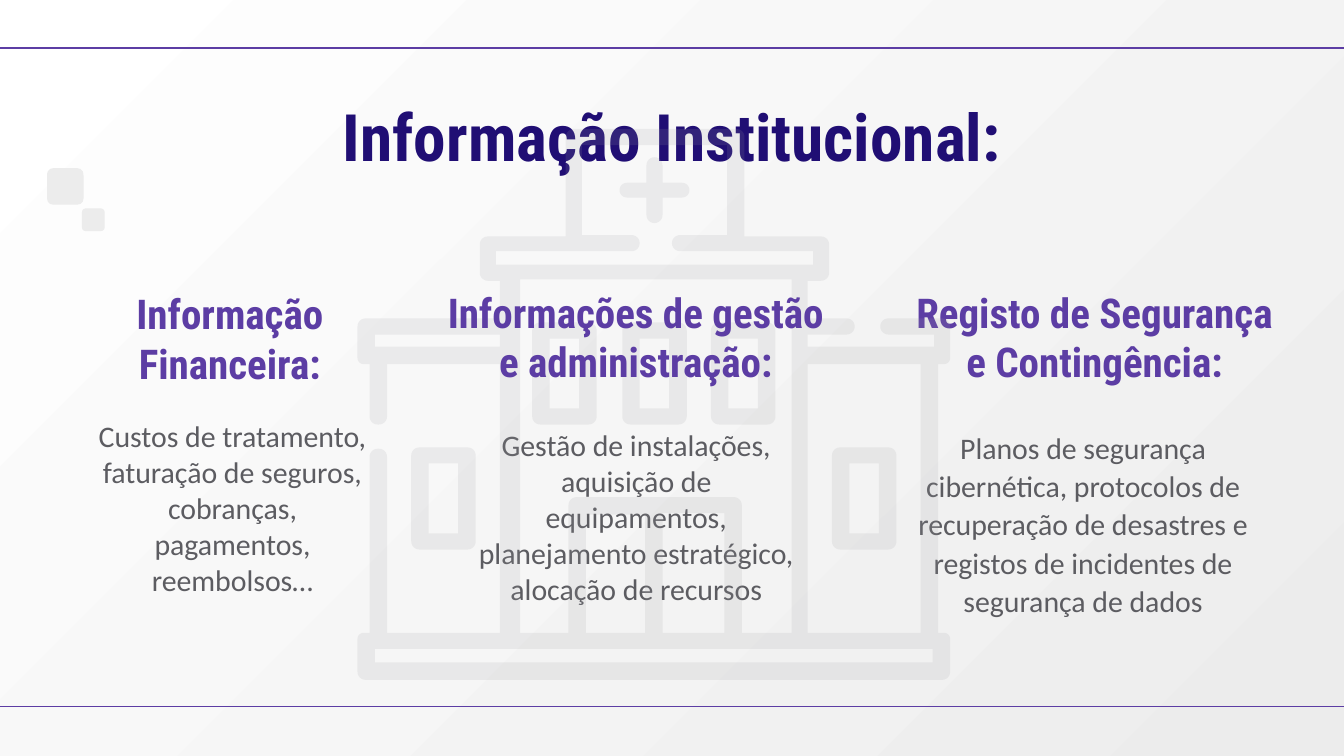
import math
from dataclasses import dataclass

import lxml.etree
import pptx
import pptx.dml.color
import pptx.enum.shapes
import pptx.enum.text
import pptx.oxml.ns
import pptx.util

Cm = pptx.util.Cm
Pt = pptx.util.Pt
qn = pptx.oxml.ns.qn
ANCHOR = pptx.enum.text.MSO_ANCHOR

WIDTH, HEIGHT = 25.4, 14.29


def rgb(value):
    return pptx.dml.color.RGBColor.from_string(value)


@dataclass(frozen=True)
class Theme:
    heading_font: str = "Roboto Condensed"
    body_font: str = "Calibri"
    navy: str = "200E74"
    purple: str = "5C3DA4"
    gray: str = "5C5C61"
    icon: str = "9C9CA1"
    icon_opacity: int = 15
    light: str = "FFFFFF"
    shade: str = "ECECEC"
    title_size: int = 35
    heading_size: int = 22
    body_size: int = 16


# Hospital drawing, in hundredths of an inch; a third value is a corner radius.
UNIT = 0.0254
R = 6
WINDOWS = [(396, 240), (463, 240), (529, 240), (306, 333), (619, 333)]
CROSS = [
    (481, 117, R), (493, 117, R), (493, 136), (513, 136, R), (513, 147, R), (493, 147),
    (493, 166, R), (481, 166, R), (481, 147), (461, 147, R), (461, 136, R), (481, 136),
]
SILHOUETTE = [
    (421, 96, R), (421, 176), (357, 176, R), (357, 209, R), (372, 209), (372, 237),
    (266, 237, R), (266, 271, R), (275, 271), (275, 316, R), (288, 316, R), (288, 271),
    (372, 271), (372, 471), (288, 471), (288, 334, R), (275, 334, R), (275, 471),
    (266, 471, R), (266, 506, R), (707, 506, R), (707, 471, R), (698, 471), (698, 271),
    (707, 271, R), (707, 237, R), (655, 237, R), (655, 249, R), (695, 249), (695, 258),
    (601, 258), (601, 249), (636, 249, R), (636, 237, R), (601, 237), (601, 209),
    (617, 209, R), (617, 176, R), (554, 176), (554, 96, R),
]
TOWER_HOLE = [
    (541, 108), (541, 175), (500, 175, R), (500, 187, R), (605, 187), (605, 197),
    (369, 197), (369, 187), (476, 187, R), (476, 175, R), (433, 175), (433, 108),
]
FACADE_HOLE = [
    (589, 208), (589, 471), (552, 471), (552, 370, R),
    (423, 370, R), (423, 471), (387, 471), (387, 208),
]


def rectangle(left, top, right, bottom, radius=0):
    corners = [(left, top), (right, top), (right, bottom), (left, bottom)]
    return [(x, y, radius) for x, y in corners]


def round_corners(corners, steps=6):
    """Replace each right-angled corner that has a radius by points on a quarter circle."""
    points = []
    for index, (x, y, *radius) in enumerate(corners):
        if not radius or not radius[0]:
            points.append((x, y))
            continue
        sides = []
        for neighbour in (corners[index - 1], corners[(index + 1) % len(corners)]):
            dx, dy = neighbour[0] - x, neighbour[1] - y
            sides.append((dx, dy, math.hypot(dx, dy)))
        reach = min(radius[0], *(length / 2 for _, _, length in sides))
        (ax, ay, a), (bx, by, b) = sides
        for step in range(steps + 1):
            angle = math.pi / 2 * step / steps
            toward_a = reach * (1 - math.sin(angle)) / a
            toward_b = reach * (1 - math.cos(angle)) / b
            points.append((x + ax * toward_a + bx * toward_b,
                           y + ay * toward_a + by * toward_b))
    return points


class SlideBuilder:
    def __init__(self, page, theme):
        self.page = page
        self.theme = theme

    def background(self):
        fill = self.page.background.fill
        fill.gradient()
        fill.gradient_angle = 315
        for stop, color, position in zip(
                fill.gradient_stops, (self.theme.light, self.theme.shade), (0, 1)):
            stop.color.rgb = rgb(color)
            stop.position = position

    def rule(self, y):
        line = self.page.shapes.add_connector(
            pptx.enum.shapes.MSO_CONNECTOR.STRAIGHT, 0, Cm(y), Cm(WIDTH), Cm(y))
        line.line.color.rgb = rgb(self.theme.purple)
        line.line.width = Pt(0.75)
        lxml.etree.SubElement(line._element.spPr, qn("a:effectLst"))

    def group(self):
        return self.page.shapes.add_group_shape()

    def square(self, group, left, top, side):
        shape = group.shapes.add_shape(
            pptx.enum.shapes.MSO_SHAPE.ROUNDED_RECTANGLE,
            Cm(left), Cm(top), Cm(side), Cm(side))
        shape.shadow.inherit = False
        shape.fill.solid()
        shape.fill.fore_color.rgb = rgb(self.theme.shade)
        shape.line.fill.background()

    def outline(self, group, *contours):
        """Draw contours as one translucent shape; inner contours are holes."""
        builder = None
        for contour in contours:
            start, *rest = [(Cm(x * UNIT), Cm(y * UNIT)) for x, y in round_corners(contour)]
            if builder is None:
                builder = group.shapes.build_freeform(*start)
            else:
                builder.move_to(*start)
            builder.add_line_segments(rest, close=True)
        shape = builder.convert_to_shape()
        shape.shadow.inherit = False
        shape.line.fill.background()
        shape.fill.solid()
        shape.fill.fore_color.rgb = rgb(self.theme.icon)
        color = shape._element.spPr.find(qn("a:solidFill"))[0]
        alpha = lxml.etree.SubElement(color, qn("a:alpha"))
        alpha.set("val", str(self.theme.icon_opacity * 1000))

    def fill_box(self, box, place, text, color, font,
                 anchor=ANCHOR.TOP, indent=0, spacing=1.0, after=0):
        for name, value in zip(("left", "top", "width", "height"), place):
            setattr(box, name, Cm(value))
        frame = box.text_frame
        inset = Cm(0.25)
        frame_format = {
            "word_wrap": True, "auto_size": pptx.enum.text.MSO_AUTO_SIZE.NONE,
            "vertical_anchor": anchor, "margin_left": inset + Cm(indent),
            "margin_right": inset, "margin_top": inset, "margin_bottom": inset,
        }
        para = frame.paragraphs[0]
        para_format = {
            "alignment": pptx.enum.text.PP_ALIGN.CENTER, "line_spacing": spacing,
            "space_before": Pt(0), "space_after": Pt(after),
        }
        span = para.add_run()
        span.text = text
        for target, values in ((frame, frame_format), (para, para_format), (span.font, font)):
            for name, value in values.items():
                setattr(target, name, value)
        span.font.color.rgb = rgb(color)
        properties = para._p.get_or_add_pPr()
        properties.set("marL", "0")
        properties.set("indent", "0")
        lxml.etree.SubElement(properties, qn("a:buNone"))

    def title(self, place, text):
        font = {"name": self.theme.heading_font, "size": Pt(self.theme.title_size), "bold": True}
        self.fill_box(self.page.shapes.title, place, text, self.theme.navy, font)

    def heading(self, place, text):
        font = {"name": self.theme.heading_font, "size": Pt(self.theme.heading_size), "bold": True}
        box = self.page.shapes.add_textbox(0, 0, 0, 0)
        self.fill_box(box, place, text, self.theme.purple, font, anchor=ANCHOR.BOTTOM)

    def body(self, index, place, text, **layout):
        font = {"name": self.theme.body_font, "size": Pt(self.theme.body_size), "bold": False}
        self.fill_box(self.page.placeholders[index], place, text, self.theme.gray, font, **layout)

    def hospital(self):
        group = self.group()
        for x, y in WINDOWS:
            self.outline(group, rectangle(x, y, x + 48, y + 76, R),
                         rectangle(x + 13, y + 12, x + 35, y + 64))
        self.outline(group, CROSS)
        wings = [rectangle(279, 249, 372, 258), rectangle(601, 271, 685, 471)]
        doors = [rectangle(436, 383, 480, 471), rectangle(493, 382, 539, 471)]
        base = rectangle(279, 483, 694, 493)
        self.outline(group, SILHOUETTE, TOWER_HOLE, FACADE_HOLE, *wings, *doors, base)

    def remove_empty_placeholders(self):
        for box in list(self.page.placeholders):
            if not box.text_frame.text:
                box._element.getparent().remove(box._element)


def main():
    deck = pptx.Presentation()
    deck.slide_width, deck.slide_height = Cm(WIDTH), Cm(HEIGHT)
    builder = SlideBuilder(deck.slides.add_slide(deck.slide_layouts[4]), Theme())
    builder.background()
    for y in (0.91, 13.36):
        builder.rule(y)
    squares = builder.group()
    builder.square(squares, 0.89, 3.18, 0.69)
    builder.square(squares, 1.55, 3.94, 0.43)
    builder.title((0, 1.57, WIDTH, 1.47), "Informação Institucional:")
    builder.body(1, (1.55, 7.65, 5.69, 5.08),
                 "Custos de tratamento, faturação de seguros, cobranças, pagamentos, reembolsos…")
    builder.body(2, (8.76, 7.82, 6.53, 4.9), "Gestão de instalações, aquisição de "
                 "equipamentos, planejamento estratégico, alocação de recursos")
    builder.body(3, (15.82, 7.82, 8.03, 4.9), "Planos de segurança cibernética, protocolos de "
                 "recuperação de desastres e registos de incidentes de segurança de dados",
                 indent=1.27, spacing=1.07, after=8)
    builder.heading((1.55, 5.28, 5.59, 2.29), "Informação Financeira:")
    builder.heading((16.89, 5.21, 7.59, 2.34), "Registo de Segurança e Contingência:")
    builder.hospital()
    builder.heading((8, 4.85, 8.03, 2.69), "Informações de gestão e administração:")
    builder.remove_empty_placeholders()
    deck.save("out.pptx")


if __name__ == "__main__":
    main()
